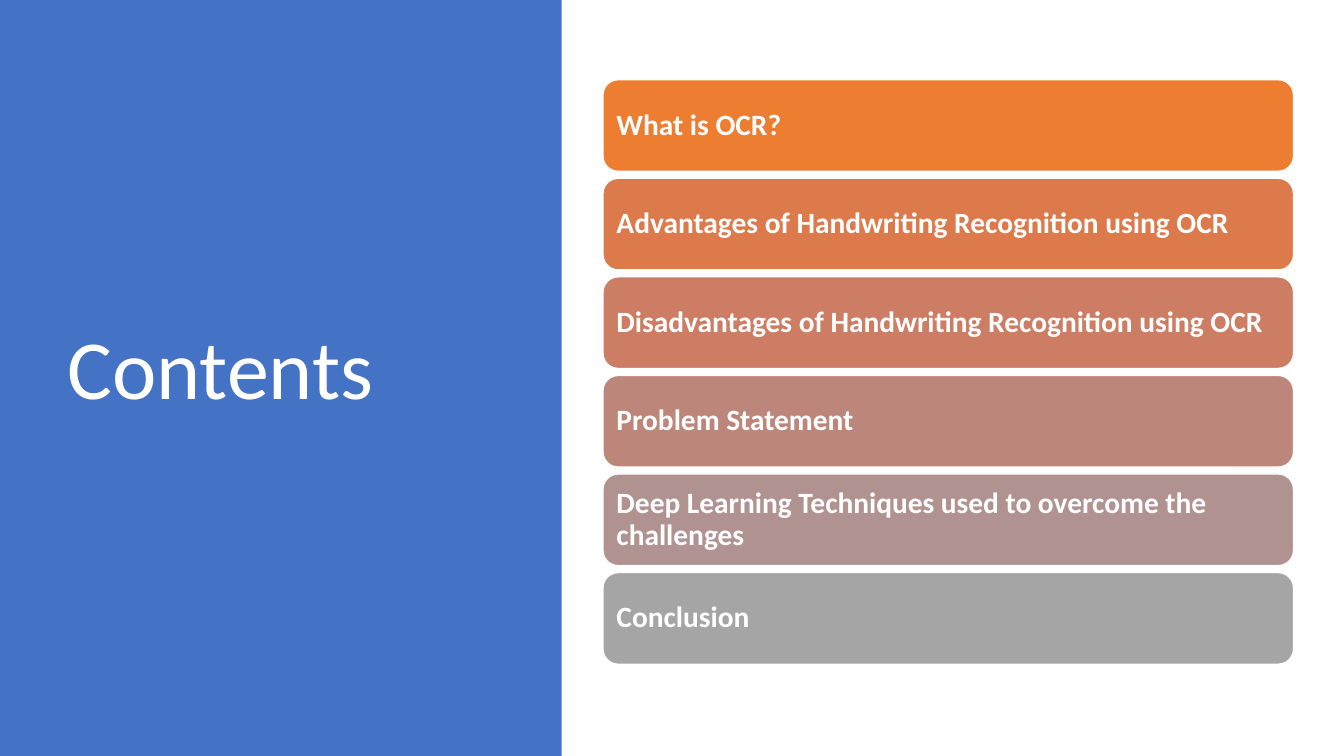
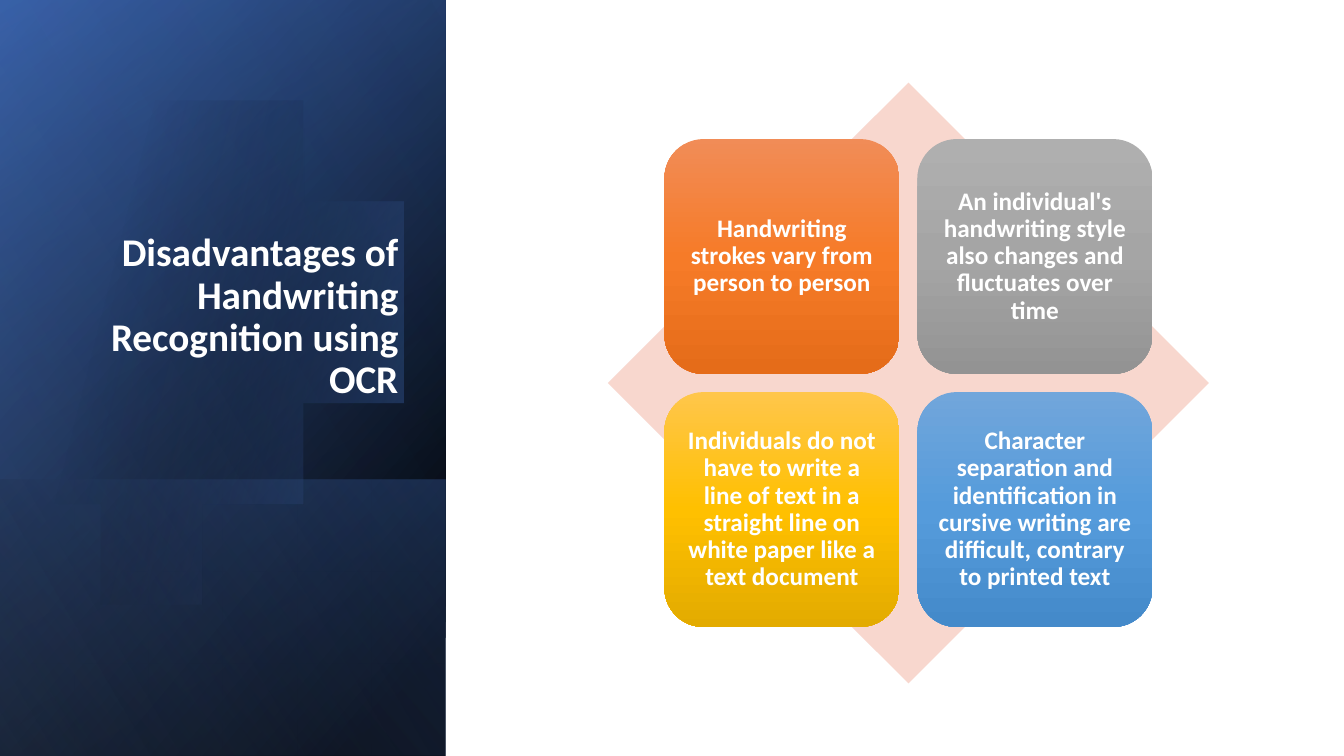
from math import acos, cos, sin
from typing import NamedTuple

from lxml import etree
from pptx import Presentation
from pptx.dml.color import RGBColor
from pptx.enum.shapes import MSO_SHAPE
from pptx.enum.text import MSO_ANCHOR, MSO_AUTO_SIZE, PP_ALIGN
from pptx.oxml.ns import qn
from pptx.util import Inches, Pt

RECT, ROUND_RECT, DIAMOND = MSO_SHAPE.RECTANGLE, MSO_SHAPE.ROUNDED_RECTANGLE, MSO_SHAPE.DIAMOND
LEFT, CENTER, RIGHT = PP_ALIGN.LEFT, PP_ALIGN.CENTER, PP_ALIGN.RIGHT
MIDDLE, BOTTOM = MSO_ANCHOR.MIDDLE, MSO_ANCHOR.BOTTOM
NO_AUTOFIT = MSO_AUTO_SIZE.NONE

SLIDE_W, SLIDE_H = 13.33, 7.5
FONT = "Calibri"
COLORS = {
    "white": "FFFFFF",
    "black": "000000",
    "blue": "4472C4",
    "deep_blue": "2F5597",
    "pale_blue": "8FAADC",
    "blush": "F8D7CE",
}


class Box(NamedTuple):
    """Left, top, width and height in inches."""
    x: float
    y: float
    w: float
    h: float


class Stop(NamedTuple):
    """Gradient stop: position and opacity in percent."""
    pos: int
    color: str
    alpha: int = 100


class Layer(NamedTuple):
    """Gradient with its clockwise angle in degrees."""
    stops: tuple[Stop, ...]
    angle: int


class Bar(NamedTuple):
    text: str
    color: str


class Tile(NamedTuple):
    text: str
    shades: tuple[str, str, str]


# Contents slide
CONTENTS_PANEL = Box(0, 0, 5.57, SLIDE_H)
BARS_AREA = Box(5.98, 0.79, 6.85, 5.8)
BAR_H = 0.91
BARS = [
    Bar("What is OCR?", "ED7D31"),
    Bar("Advantages of Handwriting Recognition using OCR", "DC7A4B"),
    Bar("Disadvantages of Handwriting Recognition using OCR", "CC7D64"),
    Bar("Problem Statement", "BD867B"),
    Bar("Deep Learning Techniques used to overcome the challenges", "B09391"),
    Bar("Conclusion", "A5A5A5"),
]

# Disadvantages slide
SIDE_PANEL = Box(0, 0, 4.42, SLIDE_H)
FOOT_H = 2.74
FOOT_PANEL = Box(0, SLIDE_H - FOOT_H, SIDE_PANEL.w, FOOT_H)
BASE = Layer((Stop(8, COLORS["black"]), Stop(100, COLORS["deep_blue"])), 220)
GLOW = Layer((Stop(0, COLORS["black"], 0), Stop(99, COLORS["blue"], 46)), 240)
FOOT = Layer((Stop(2, COLORS["blue"], 29), Stop(100, COLORS["black"], 30)), 140)
DISC = Layer((Stop(29, COLORS["black"], 0), Stop(100, COLORS["blue"], 43)), 14)
SHEEN = Layer((Stop(0, COLORS["black"], 0), Stop(99, COLORS["pale_blue"], 11)), 150)
DISC_X, DISC_Y, DISC_R = 1.44, 3.38, 2.28
DISC_STEPS = 120

DIAMOND_SIZE, TILE_SIZE, TILE_GAP = 5.96, 2.33, 0.18
MATRIX_X, MATRIX_Y = 9.01, 3.8
TILE_COLUMNS = 2
TILES = [
    Tile("Handwriting strokes vary from person to person",
         ("F18C57", "F67B28", "E56C19")),
    Tile("An individual's handwriting style also changes and fluctuates over time",
         ("AFAFAF", "A5A5A5", "939393")),
    Tile("Individuals do not have to write a line of text in a straight line "
         "on white paper like a text document",
         ("FFC64B", "FFC000", "E3AB00")),
    Tile("Character separation and identification in cursive writing are "
         "difficult, contrary to printed text",
         ("71A6DB", "559BDB", "448ACA")),
]


# Shared drawing functions
def fill_solid(sp, color: str) -> None:
    sp.fill.solid()
    sp.fill.fore_color.rgb = RGBColor.from_string(color)


def fill_gradient(sp, layer: Layer) -> None:
    sp.fill.gradient()
    sp.fill.gradient_angle = 360 - layer.angle
    stops = sp._element.spPr.find(qn("a:gradFill")).find(qn("a:gsLst"))
    for old in list(stops):
        stops.remove(old)
    for stop in layer.stops:
        gs = etree.SubElement(stops, qn("a:gs"), pos=str(stop.pos * 1000))
        clr = etree.SubElement(gs, qn("a:srgbClr"), val=stop.color)
        if stop.alpha < 100:
            etree.SubElement(clr, qn("a:alpha"), val=str(stop.alpha * 1000))


def paint(sp, fill: str | Layer) -> None:
    sp.shadow.inherit = False
    sp.line.fill.background()
    if isinstance(fill, Layer):
        fill_gradient(sp, fill)
    else:
        fill_solid(sp, fill)


def add_box(slide, preset, box: Box, fill: str | Layer):
    sp = slide.shapes.add_shape(preset, *map(Inches, box))
    paint(sp, fill)
    return sp


def set_text(sp, text: str, size: int, align, anchor, bold: bool = True,
             inset: float | None = None) -> None:
    tf = sp.text_frame
    tf.text = text
    tf.word_wrap = True
    tf.auto_size = NO_AUTOFIT
    tf.vertical_anchor = anchor
    if inset is not None:
        tf.margin_left = tf.margin_right = Inches(inset)
        tf.margin_top = tf.margin_bottom = Inches(inset)
    p = tf.paragraphs[0]
    p.alignment = align
    p.line_spacing = 0.9
    p.font.name = FONT
    p.font.size = Pt(size)
    p.font.bold = bold
    p.font.color.rgb = RGBColor.from_string(COLORS["white"])


def set_title(slide, box: Box, text: str, size: int, align, anchor, bold: bool) -> None:
    """Place the title placeholder in front of the panel."""
    sp = slide.shapes.title
    sp.left, sp.top, sp.width, sp.height = map(Inches, box)
    set_text(sp, text, size, align, anchor, bold)
    slide.shapes._spTree.append(sp._element)


def add_disc(slide) -> None:
    """Draw the part of the disc that lies right of the slide edge."""
    reach = acos(-DISC_X / DISC_R)
    angles = [reach * (2 * i / DISC_STEPS - 1) for i in range(DISC_STEPS + 1)]
    points = [(DISC_X + DISC_R * cos(a), DISC_Y + DISC_R * sin(a)) for a in angles]
    outline = slide.shapes.build_freeform(*points[0], scale=Inches(1))
    outline.add_line_segments(points[1:], close=True)
    paint(outline.convert_to_shape(), DISC)


# Slides
def build_contents(prs) -> None:
    slide = prs.slides.add_slide(prs.slide_layouts[5])
    add_box(slide, RECT, CONTENTS_PANEL, COLORS["blue"])
    set_title(slide, Box(0.57, 0.68, 4.16, 6.02), "Contents", 60, LEFT, MIDDLE, False)
    pitch = (BARS_AREA.h - BAR_H) / (len(BARS) - 1)
    for row, bar in enumerate(BARS):
        box = Box(BARS_AREA.x, BARS_AREA.y + row * pitch, BARS_AREA.w, BAR_H)
        sp = add_box(slide, ROUND_RECT, box, bar.color)
        sp.line.color.rgb = RGBColor.from_string(COLORS["white"])
        sp.line.width = Pt(1)
        set_text(sp, bar.text, 21, LEFT, MIDDLE, inset=0.09)


def build_disadvantages(prs) -> None:
    slide = prs.slides.add_slide(prs.slide_layouts[5])

    # Layered side panel
    add_box(slide, RECT, SIDE_PANEL, BASE)
    add_box(slide, RECT, SIDE_PANEL, GLOW)
    add_box(slide, RECT, FOOT_PANEL, FOOT)
    add_disc(slide)
    add_box(slide, RECT, SIDE_PANEL, SHEEN)
    set_title(slide, Box(0.64, 1.84, 3.41, 2.2),
              "Disadvantages of Handwriting Recognition using OCR", 28, RIGHT, BOTTOM, True)

    # Matrix of tiles centred on the diamond
    half = DIAMOND_SIZE / 2
    add_box(slide, DIAMOND, Box(MATRIX_X - half, MATRIX_Y - half, DIAMOND_SIZE, DIAMOND_SIZE),
            COLORS["blush"])
    pitch = TILE_SIZE + TILE_GAP
    offset = TILE_SIZE + TILE_GAP / 2
    for i, tile in enumerate(TILES):
        row, col = divmod(i, TILE_COLUMNS)
        box = Box(MATRIX_X - offset + col * pitch, MATRIX_Y - offset + row * pitch,
                  TILE_SIZE, TILE_SIZE)
        stops = tuple(Stop(50 * n, shade) for n, shade in enumerate(tile.shades))
        sp = add_box(slide, ROUND_RECT, box, Layer(stops, 90))
        set_text(sp, tile.text, 18, CENTER, MIDDLE, inset=0.07)


def main() -> None:
    prs = Presentation()
    prs.slide_width, prs.slide_height = Inches(SLIDE_W), Inches(SLIDE_H)
    build_contents(prs)
    build_disadvantages(prs)
    prs.save("out.pptx")


if __name__ == "__main__":
    main()
